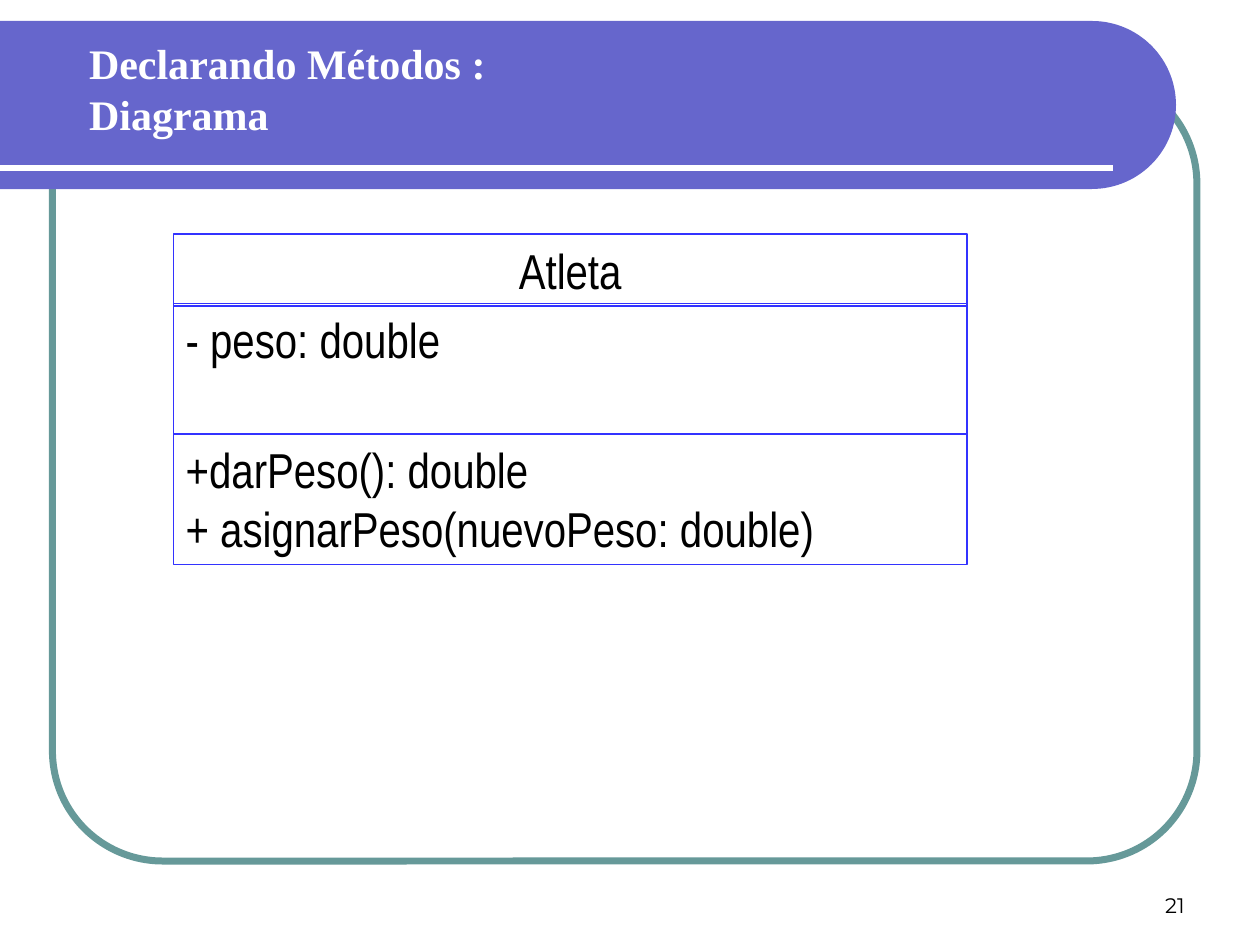
import math

import pptx
import pptx.dml.color
import pptx.enum.shapes
import pptx.enum.text
import pptx.oxml.ns
import pptx.util
from lxml import etree

ALIGN = pptx.enum.text.PP_ALIGN
ANCHOR = pptx.enum.text.MSO_ANCHOR
SHAPE = pptx.enum.shapes.MSO_SHAPE
COLS, ROWS = 120, 90


def color(value):
    return pptx.dml.color.RGBColor.from_string(value)


class Deck:
    """Holds the style and the current slide; lengths are grid columns and rows."""

    violet, teal, blue, white, black = "6666CC", "669999", "3333FF", "FFFFFF", "000000"
    title_font, body_font, number_font = "Times New Roman", "Arial Narrow", "Montserrat"

    def __init__(self):
        self.prs = pptx.Presentation()
        self.prs.slide_width = pptx.util.Inches(10)
        self.prs.slide_height = pptx.util.Inches(7.5)
        self.s = self.prs.slides.add_slide(self.prs.slide_layouts[6])

    def x(self, col):
        return round(self.prs.slide_width * col / COLS)

    def y(self, row):
        return round(self.prs.slide_height * row / ROWS)

    def area(self, col, row, cols, rows):
        return self.x(col), self.y(row), self.x(cols), self.y(rows)

    def outline(self, at, line, width, kind=SHAPE.RECTANGLE):
        sp = self.s.shapes.add_shape(kind, *self.area(*at))
        sp.shadow.inherit = False
        sp.fill.background()
        sp.line.color.rgb = color(line)
        sp.line.width = pptx.util.Pt(width)
        return sp

    def banner(self, row, cols, rows, fill):
        """Band from the left edge that ends in a half circle."""
        r = rows / 2
        angles = [math.radians(a) for a in range(-90, 91, 3)]
        arc = [(self.x(cols - r + r * math.cos(a)), self.y(row + r + r * math.sin(a)))
               for a in angles]
        builder = self.s.shapes.build_freeform(0, self.y(row))
        builder.add_line_segments(arc + [(0, self.y(row + rows))], close=True)
        sp = builder.convert_to_shape()
        sp.shadow.inherit = False
        sp.fill.solid()
        sp.fill.fore_color.rgb = color(fill)
        sp.line.fill.background()

    def rule(self, row, cols, line, width):
        c = self.s.shapes.add_connector(pptx.enum.shapes.MSO_CONNECTOR.STRAIGHT,
                                        0, self.y(row), self.x(cols), self.y(row))
        c.line.color.rgb = color(line)
        c.line.width = pptx.util.Pt(width)
        etree.SubElement(c._element.spPr, pptx.oxml.ns.qn("a:effectLst"))

    def set_text(self, sp, lines, font, size, ink, align=ALIGN.LEFT,
                 anchor=ANCHOR.TOP, bold=False, wrap=True):
        tf = sp.text_frame
        tf.word_wrap = wrap
        tf.vertical_anchor = anchor
        tf.text = "\n".join(lines)
        for p in tf.paragraphs:
            p.alignment = align
            p.font.name = font
            p.font.size = pptx.util.Pt(size)
            p.font.bold = bold
            p.font.color.rgb = color(ink)

    def text(self, at, words, font, size, ink, **style):
        sp = self.s.shapes.add_textbox(*self.area(*at))
        self.set_text(sp, [words], font, size, ink, **style)

    def compartment(self, row, rows, lines, align=ALIGN.LEFT):
        """One section of the class diagram."""
        sp = self.outline((16.5, row, 75.6, rows), self.blue, 0.75)
        self.set_text(sp, lines, self.body_font, 28, self.black, align=align)


def main():
    d = Deck()

    # Frame and title banner
    frame = d.outline((5, 7, 109, 75), d.teal, 4, SHAPE.ROUNDED_RECTANGLE)
    frame.adjustments[0] = 0.14
    d.banner(2, 112, 16, d.violet)
    d.rule(16, 106, d.white, 3)

    # Page number and title
    d.text((86, 82, 28, 6), "21", d.number_font, 12, d.black,
           align=ALIGN.RIGHT, anchor=ANCHOR.BOTTOM)
    d.text((7.3, 3, 58.2, 6), "Declarando Métodos : Diagrama", d.title_font, 24,
           d.white, bold=True, wrap=False)

    # Class diagram: name, attributes, methods
    d.compartment(22.3, 6.85, ["Atleta"], ALIGN.CENTER)
    d.compartment(28.9, 12.45, ["- peso: double"])
    d.compartment(41.3, 12.45, ["+darPeso(): double",
                                "+ asignarPeso(nuevoPeso: double)"])

    d.prs.save("out.pptx")


if __name__ == "__main__":
    main()
